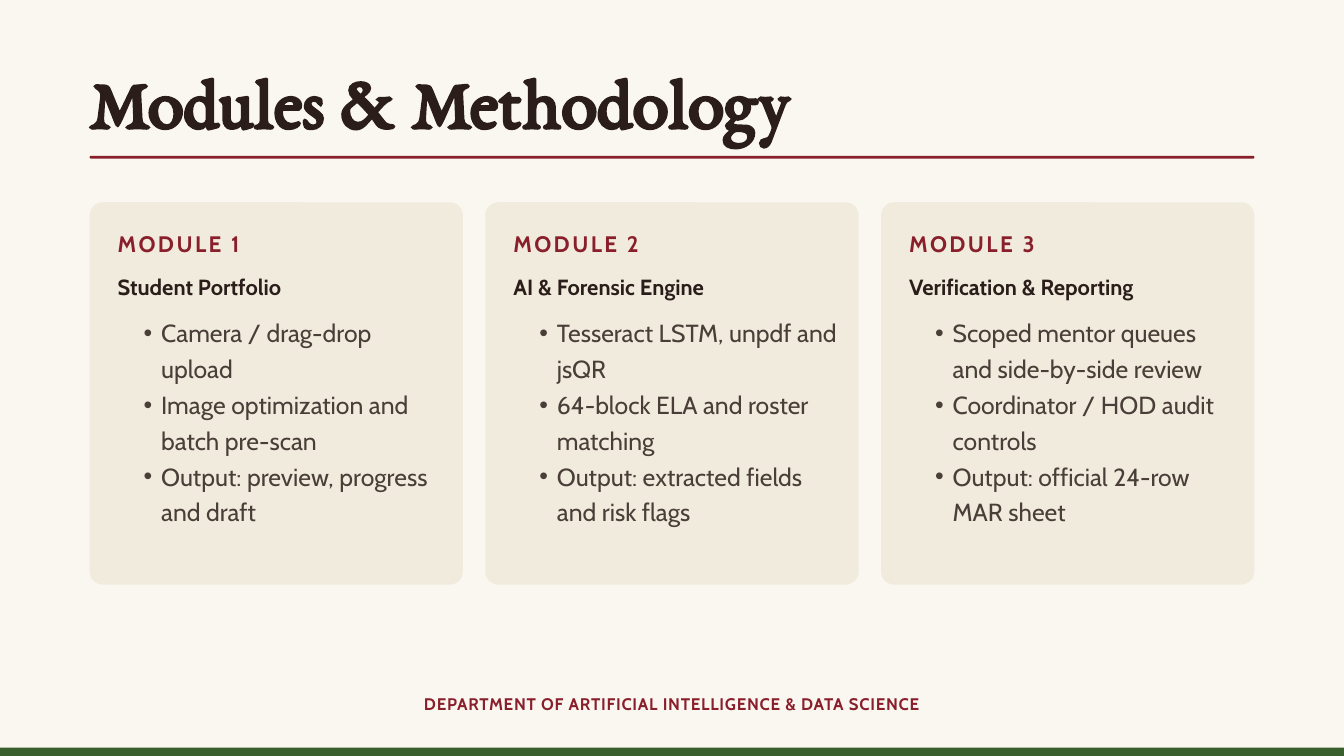
from lxml.etree import SubElement
from pptx import Presentation
from pptx.dml.color import RGBColor
from pptx.enum.shapes import MSO_SHAPE as SHAPE
from pptx.enum.text import MSO_AUTO_SIZE as FIT, PP_ALIGN as ALIGN
from pptx.oxml.ns import qn
from pptx.util import Pt

COLORS = {
    "paper": "FAF7F0",
    "card": "F1EBDD",
    "maroon": "8A1F2C",
    "green": "3A5F2E",
    "ink": "2B1D1A",
    "body": "4A3F38",
}
WIDTH, HEIGHT = 1440, 810
MARGIN, GAP = 96, 24
CARD_W, CARD_TOP, CARD_H = 400, 216.7, 409.7
PAD = 30

MODULES = [
    ("MODULE 1", "Student Portfolio", [
        "Camera / drag-drop upload",
        "Image optimization and batch pre-scan",
        "Output: preview, progress and draft",
    ]),
    ("MODULE 2", "AI & Forensic Engine", [
        "Tesseract LSTM, unpdf and jsQR",
        "64-block ELA and roster matching",
        "Output: extracted fields and risk flags",
    ]),
    ("MODULE 3", "Verification & Reporting", [
        "Scoped mentor queues and side-by-side review",
        "Coordinator / HOD audit controls",
        "Output: official 24-row MAR sheet",
    ]),
]


def rgb(name):
    return RGBColor.from_string(COLORS[name])


class SlideBuilder:
    heading_font = "EB Garamond"
    body_font = "Cabin"

    def __init__(self, slide):
        self.slide = slide

    def background(self, color):
        fill = self.slide.background.fill
        fill.solid()
        fill.fore_color.rgb = rgb(color)

    def block(self, x, y, w, h, color, radius=0):
        kind = SHAPE.ROUNDED_RECTANGLE if radius else SHAPE.RECTANGLE
        sp = self.slide.shapes.add_shape(kind, Pt(x), Pt(y), Pt(w), Pt(h))
        if radius:
            sp.adjustments[0] = radius / min(w, h)
        sp.shadow.inherit = False
        sp.fill.solid()
        sp.fill.fore_color.rgb = rgb(color)
        sp.line.fill.background()

    def text(self, x, y, w, h, lines, size, color, leading, bold=True,
             font=None, spacing=0, align=ALIGN.LEFT, bullets=False):
        """Add a box with one paragraph per line; leading and spacing in points."""
        box = self.slide.shapes.add_textbox(Pt(x), Pt(y), Pt(w), Pt(h))
        tf = box.text_frame
        tf.word_wrap = True
        tf.auto_size = FIT.SHAPE_TO_FIT_TEXT
        tf.margin_left = tf.margin_right = tf.margin_top = tf.margin_bottom = 0
        for i, line in enumerate(lines):
            p = tf.add_paragraph() if i else tf.paragraphs[0]
            p.alignment = align
            p.line_spacing = Pt(leading)
            if bullets:
                self.bullet(p)
            r = p.add_run()
            r.text = line
            r.font.name = font or self.body_font
            r.font.size = Pt(size)
            r.font.bold = bold
            r.font.color.rgb = rgb(color)
            if spacing:
                r.font._element.set("spc", str(round(spacing * 100)))

    def bullet(self, p):
        p.level = 1
        pPr = p._p.get_or_add_pPr()
        pPr.set("marL", str(Pt(37.4)))
        pPr.set("indent", str(-Pt(18.7)))
        SubElement(pPr, qn("a:buFont"), typeface="Arial")
        SubElement(pPr, qn("a:buChar"), char="•")

    def card(self, x, label, name, points):
        self.block(x, CARD_TOP, CARD_W, CARD_H, "card", radius=14)
        left, w = x + PAD, 350
        self.text(left, 242, w, 32.4, [label], 24, "maroon", 33.6, spacing=2.6)
        self.text(left, 273, w, 42.5, [name], 23.5, "ink", 47.8)
        self.text(left + 9.3, 334, 340, 229, points, 26.5, "body", 38.4,
                  bold=False, bullets=True)


def main():
    prs = Presentation()
    prs.slide_width, prs.slide_height = Pt(WIDTH), Pt(HEIGHT)
    s = SlideBuilder(prs.slides.add_slide(prs.slide_layouts[6]))
    s.background("paper")
    s.block(0, HEIGHT - 9, WIDTH, 9, "green")
    s.text(MARGIN, 71.3, 1285, 75.6, ["Modules & Methodology"], 78, "ink", 81.9,
           font=s.heading_font)
    s.block(MARGIN, 167, WIDTH - 2 * MARGIN, 3, "maroon", radius=1.5)
    for i, module in enumerate(MODULES):
        s.card(MARGIN + i * (CARD_W + GAP), *module)
    s.text(349, 740, 742, 31,
           ["DEPARTMENT OF ARTIFICIAL INTELLIGENCE & DATA SCIENCE"],
           18, "maroon", 25.2, spacing=0.8, align=ALIGN.CENTER)
    prs.save("out.pptx")


if __name__ == "__main__":
    main()
